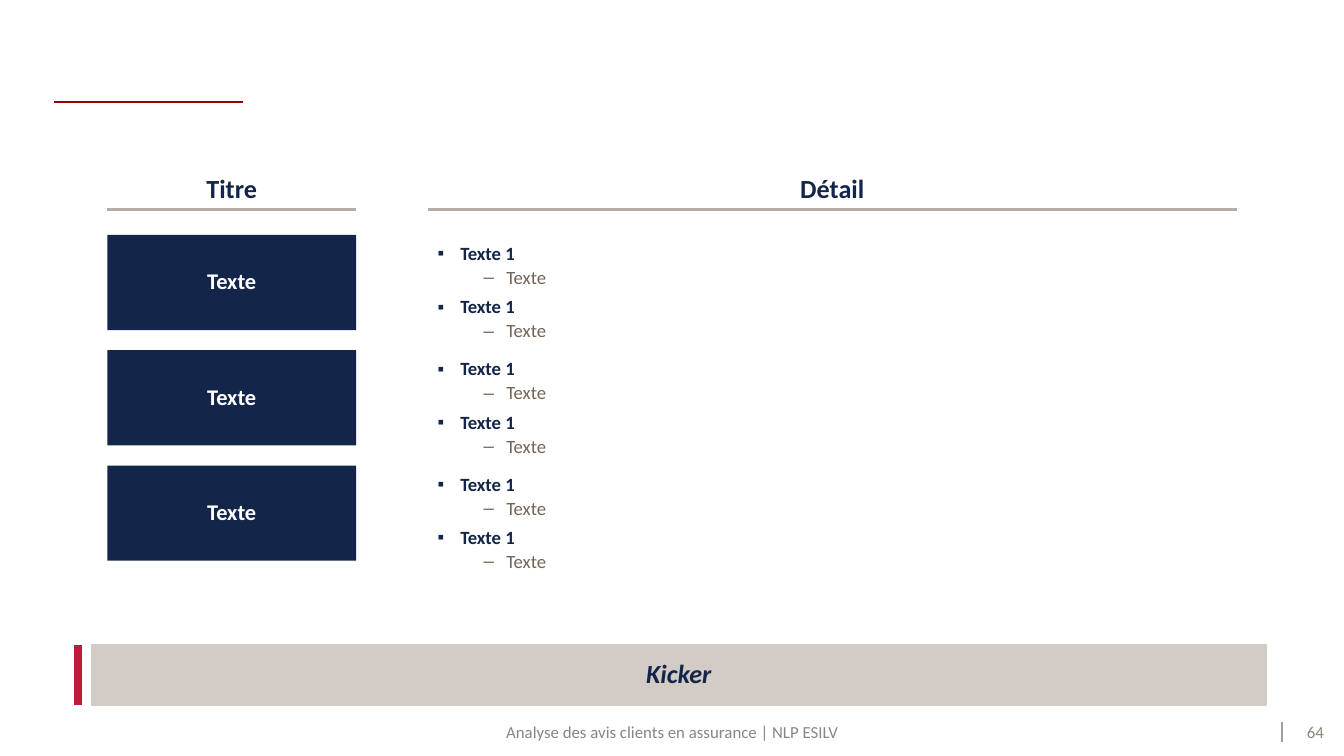
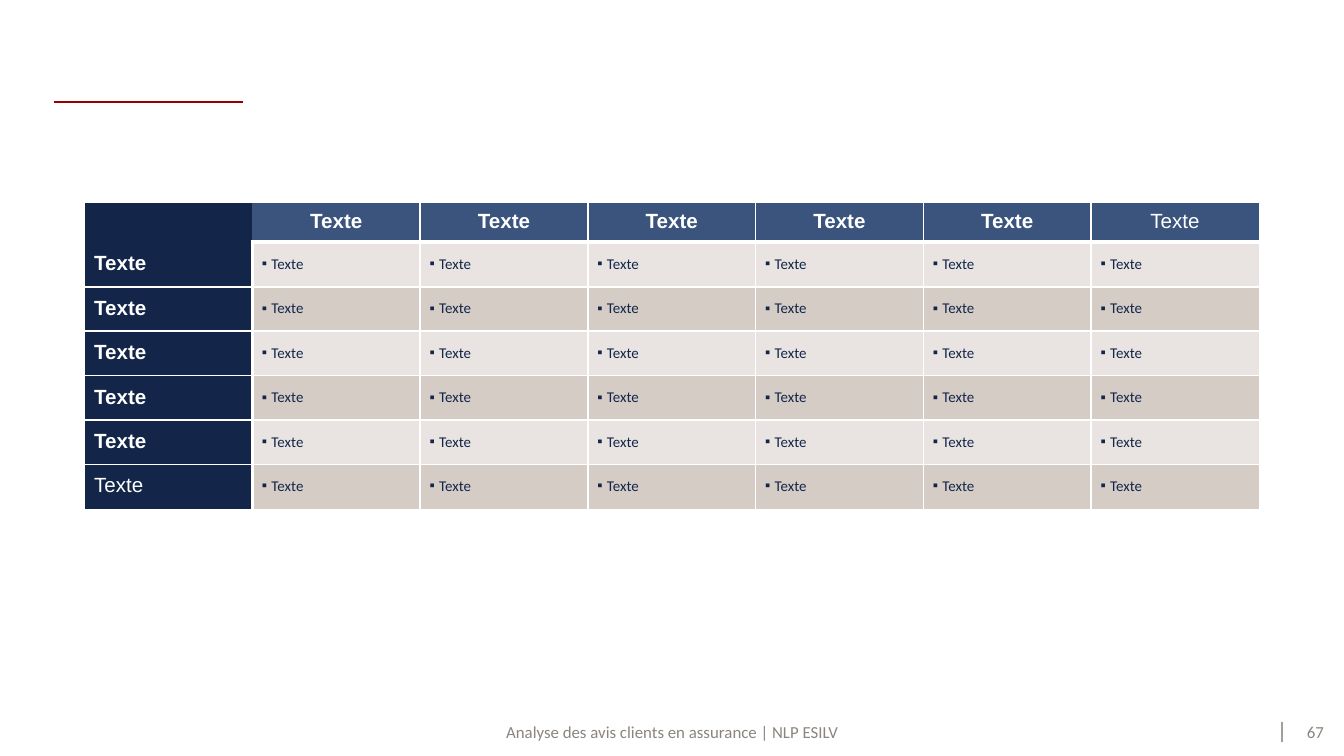
from dataclasses import dataclass

from lxml import etree
from pptx import Presentation
from pptx.dml.color import RGBColor
from pptx.enum.shapes import MSO_CONNECTOR, MSO_SHAPE
from pptx.enum.text import MSO_ANCHOR, PP_ALIGN
from pptx.oxml.ns import qn
from pptx.util import Cm, Pt

LEFT, CENTER = PP_ALIGN.LEFT, PP_ALIGN.CENTER
TOP, MIDDLE, BOTTOM = MSO_ANCHOR.TOP, MSO_ANCHOR.MIDDLE, MSO_ANCHOR.BOTTOM
RECTANGLE, STRAIGHT = MSO_SHAPE.RECTANGLE, MSO_CONNECTOR.STRAIGHT


@dataclass(frozen=True)
class Theme:
    navy: str = "13264A"
    steel: str = "3B547D"
    white: str = "FFFFFF"
    brown: str = "746457"
    taupe: str = "B7ACA4"
    sand: str = "D3CBC5"
    crimson: str = "BA1C3A"
    title_rule: str = "980000"
    footer: str = "8A857E"
    divider: str = "A29E9A"
    bands: tuple = ("E9E4E1", "D5CCC6")
    body_font: str = "Calibri"
    table_font: str = "Arial"
    heading_size: int = 14
    box_size: int = 12
    label_size: int = 11
    detail_size: int = 10
    footer_size: int = 9
    cell_size: int = 8


THEME = Theme()

FOOTER = "Analyse des avis clients en assurance | NLP ESILV"
DETAIL_PAGE = "64"
TABLE_PAGE = "67"
TITLE_HEADING, DETAIL_HEADING = "Titre", "Détail"
KICKER = "Kicker"
TOPICS = [("Texte", [("Texte 1", "Texte"), ("Texte 1", "Texte")])] * 3
COLUMN_LABELS = ["Texte"] * 6
ROW_LABELS = ["Texte"] * 6
ENTRIES = [["Texte"] * 6] * 6

SLIDE_SIZE = (25.4, 14.29)
FOOTER_TOP, FOOTER_HEIGHT, FOOTER_WIDTH = 13.59, 0.53, 8.79
HEADING_TOP, HEADING_HEIGHT, HEADING_RULE = 3.3, 0.64, 3.96
TOPIC_LEFT, TOPIC_TOP, TOPIC_WIDTH = 2.03, 4.44, 4.7
TOPIC_HEIGHT, TOPIC_PITCH = 1.8, 2.18
DETAIL_LEFT, DETAIL_WIDTH = 8.09, 15.28
KICKER_AREA = (1.73, 12.19, 22.2, 1.14)
KICKER_BAR = 1.47
TABLE_LEFT, TABLE_TOP, COLUMN_WIDTH = 1.6, 3.84, 3.17
HEADER_HEIGHT, ROW_HEIGHT = 0.74, 0.84
THIN, THICK = 1, 2.25


def rgb(color):
    return RGBColor.from_string(color)


def add_element(parent, tag, **attributes):
    return etree.SubElement(parent, qn(tag), **attributes)


def write(frame, text, *, size, color=THEME.navy, font=THEME.body_font, bold=False,
          italic=False, align=LEFT, bullet=None, indent=0, hanging=0, level=0, before=0):
    paragraph = frame.paragraphs[0]
    if paragraph.runs:
        paragraph = frame.add_paragraph()
    paragraph.alignment = align
    paragraph.line_spacing = 0.9
    paragraph.level = level
    if before:
        paragraph.space_before = Pt(before)
    if bullet:
        properties = paragraph._p.get_or_add_pPr()
        properties.set("marL", str(Cm(indent)))
        properties.set("indent", str(-Cm(hanging)))
        add_element(add_element(properties, "a:buClr"), "a:srgbClr", val=color)
        add_element(properties, "a:buFont", typeface="Arial")
        add_element(properties, "a:buChar", char=bullet)
    if not text:
        add_element(paragraph._p, "a:endParaRPr", sz=str(size * 100))
        return
    run = paragraph.add_run()
    run.text = text
    run.font.name, run.font.size = font, Pt(size)
    run.font.bold, run.font.italic = bold, italic
    run.font.color.rgb = rgb(color)


def set_frame(holder, insets, anchor):
    left, top, right, bottom = (Cm(inset) for inset in insets)
    holder.margin_left, holder.margin_top = left, top
    holder.margin_right, holder.margin_bottom = right, bottom
    holder.vertical_anchor = anchor


def add_text_area(shapes, area, insets, anchor):
    frame = shapes.add_textbox(*(Cm(length) for length in area)).text_frame
    frame.word_wrap = True
    set_frame(frame, insets, anchor)
    return frame


def add_box(shapes, area, fill, insets, outlined=False):
    box = shapes.add_shape(RECTANGLE, *(Cm(length) for length in area))
    box.shadow.inherit = False
    box.fill.solid()
    box.fill.fore_color.rgb = rgb(fill)
    if outlined:
        box.line.color.rgb = rgb(fill)
        box.line.width = Pt(0.75)
    else:
        box.line.fill.background()
    set_frame(box.text_frame, insets, MIDDLE)
    return box.text_frame


def add_rule(shapes, start, end, color, width):
    rule = shapes.add_connector(STRAIGHT, *(Cm(length) for length in start + end))
    rule.line.color.rgb = rgb(color)
    rule.line.width = Pt(width)
    add_element(rule._element.spPr, "a:effectLst")


def add_page(deck, number):
    slide = deck.slides.add_slide(deck.slide_layouts[6])
    shapes = slide.shapes
    add_rule(shapes, (1.02, 1.93), (4.6, 1.93), THEME.title_rule, 1.25)
    add_rule(shapes, (24.23, 13.64), (24.23, 14.02), THEME.divider, 0.75)
    footer_left = (SLIDE_SIZE[0] - FOOTER_WIDTH) / 2
    for text, left, width in ((FOOTER, footer_left, FOOTER_WIDTH), (number, 24.49, 0.74)):
        frame = add_text_area(shapes, (left, FOOTER_TOP, width, FOOTER_HEIGHT), (0.08,) * 4, MIDDLE)
        write(frame, text, size=THEME.footer_size, color=THEME.footer, align=CENTER)
    return shapes


def add_heading(shapes, text, left, width):
    heading = shapes.add_group_shape().shapes
    frame = add_text_area(heading, (left, HEADING_TOP, width, HEADING_HEIGHT), (0, 0, 0, 0.08), BOTTOM)
    write(frame, text, size=THEME.heading_size, bold=True, align=CENTER)
    add_rule(heading, (left, HEADING_RULE), (left + width, HEADING_RULE), THEME.taupe, 1.5)


def add_kicker(shapes):
    kicker = shapes.add_group_shape().shapes
    frame = add_box(kicker, KICKER_AREA, THEME.sand, (0.23, 0.1, 0.23, 0.1), outlined=True)
    write(frame, KICKER, size=THEME.heading_size, bold=True, italic=True, align=CENTER)
    top, height = KICKER_AREA[1], KICKER_AREA[3]
    add_rule(kicker, (KICKER_BAR, top + height), (KICKER_BAR, top), THEME.crimson, 4.5)


def build_details(deck):
    shapes = add_page(deck, DETAIL_PAGE)
    add_kicker(shapes)
    add_heading(shapes, TITLE_HEADING, TOPIC_LEFT, TOPIC_WIDTH)
    add_heading(shapes, DETAIL_HEADING, DETAIL_LEFT, DETAIL_WIDTH)
    for index, (topic, points) in enumerate(TOPICS):
        top = TOPIC_TOP + index * TOPIC_PITCH
        box = add_box(shapes, (TOPIC_LEFT, top, TOPIC_WIDTH, TOPIC_HEIGHT), THEME.navy,
                      (0.23, 0.18, 0.23, 0.18))
        write(box, topic, size=THEME.box_size, color=THEME.white, bold=True, align=CENTER)
        details = add_text_area(shapes, (DETAIL_LEFT, top, DETAIL_WIDTH, TOPIC_HEIGHT), (0.18,) * 4, TOP)
        for position, (point, remark) in enumerate(points):
            write(details, point, size=THEME.detail_size, bold=True, bullet="▪",
                  indent=0.43, hanging=0.43, before=5 if position else 0)
            write(details, remark, size=THEME.detail_size, color=THEME.brown, bullet="–",
                  indent=1.3, hanging=0.43, level=1, before=2)


def edge_width(edge, count, beside_corner):
    if edge in (0, count) or (edge == 1 and beside_corner):
        return None
    return THICK if edge == 1 else THIN


def set_borders(cell, row, column, row_count, column_count):
    edges = {
        "a:lnL": edge_width(column, column_count, row == 0),
        "a:lnR": edge_width(column + 1, column_count, row == 0),
        "a:lnT": edge_width(row, row_count, column == 0),
        "a:lnB": edge_width(row + 1, row_count, column == 0),
    }
    properties = cell._tc.get_or_add_tcPr()
    for tag, width in edges.items():
        if width:
            line = add_element(properties, tag, w=str(Pt(width)))
            add_element(add_element(line, "a:solidFill"), "a:srgbClr", val=THEME.white)
        else:
            add_element(add_element(properties, tag, w="0"), "a:noFill")


def build_table(deck):
    shapes = add_page(deck, TABLE_PAGE)
    lines = [[""] + COLUMN_LABELS]
    lines += [[label] + entries for label, entries in zip(ROW_LABELS, ENTRIES)]
    row_count, column_count = len(lines), len(lines[0])
    heights = [HEADER_HEIGHT] + [ROW_HEIGHT] * len(ROW_LABELS)
    grid = shapes.add_table(row_count, column_count, Cm(TABLE_LEFT), Cm(TABLE_TOP),
                            Cm(COLUMN_WIDTH * column_count), Cm(sum(heights))).table
    grid.horz_banding = False
    for column in grid.columns:
        column.width = Cm(COLUMN_WIDTH)
    label_format = dict(size=THEME.label_size, color=THEME.white, font=THEME.table_font)
    for row, texts in enumerate(lines):
        grid.rows[row].height = Cm(heights[row])
        for column, text in enumerate(texts):
            cell = grid.cell(row, column)
            if column == 0:
                fill, insets = THEME.navy, (0.18, 0.08, 0.1, 0.08)
                style = dict(label_format, bold=row < row_count - 1)
            elif row == 0:
                fill, insets = THEME.steel, (0.1, 0.08, 0.1, 0.08)
                style = dict(label_format, bold=column < column_count - 1, align=CENTER)
            else:
                fill, insets = THEME.bands[(row - 1) % 2], (0.18, 0.08, 0, 0.08)
                style = dict(size=THEME.cell_size, bullet="▪", indent=0.18, hanging=0.18)
            set_frame(cell, insets, MIDDLE)
            set_borders(cell, row, column, row_count, column_count)
            cell.fill.solid()
            cell.fill.fore_color.rgb = rgb(fill)
            write(cell.text_frame, text, **style)


def main():
    deck = Presentation()
    deck.slide_width, deck.slide_height = (Cm(length) for length in SLIDE_SIZE)
    build_details(deck)
    build_table(deck)
    deck.save("out.pptx")


if __name__ == "__main__":
    main()
